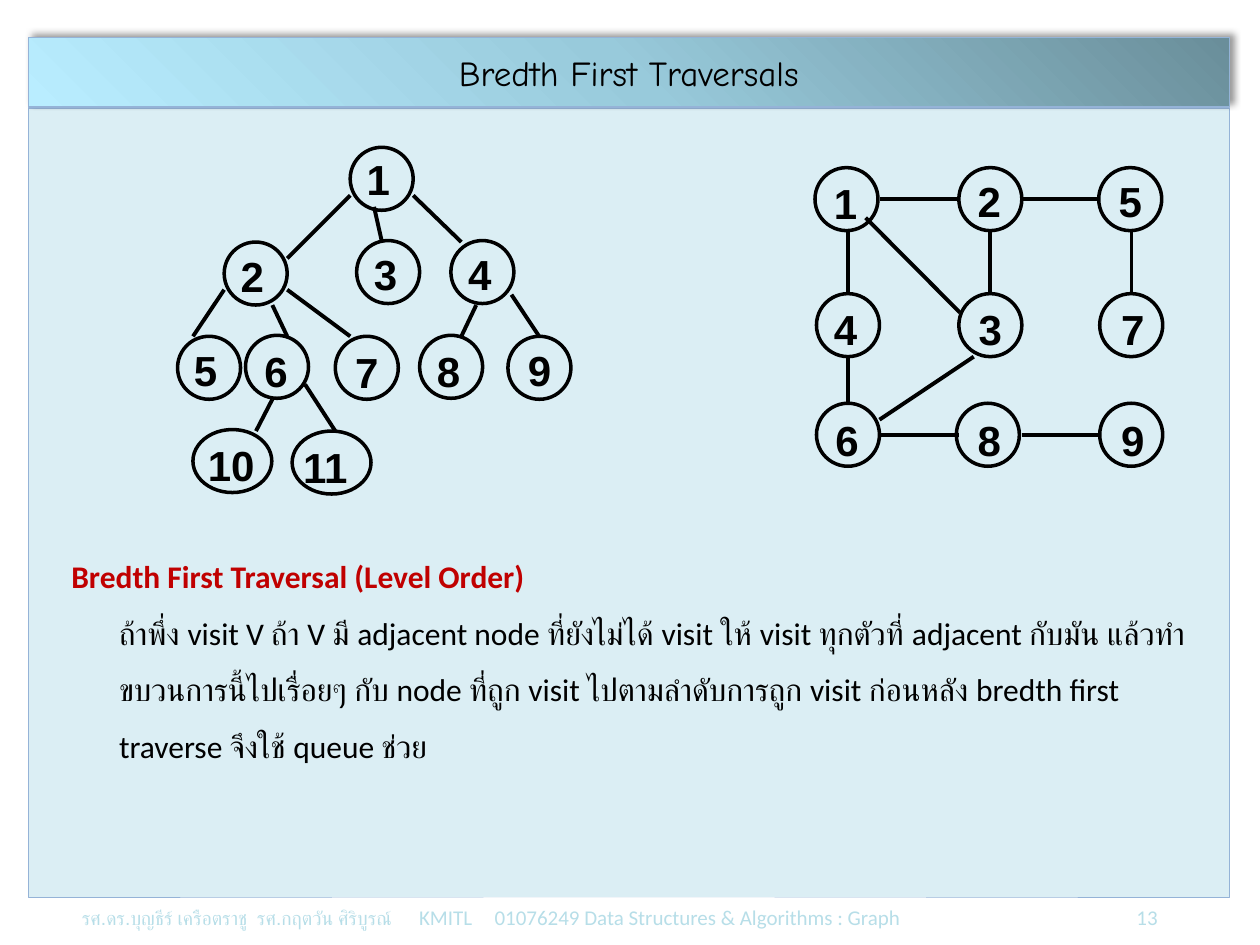
from pptx import Presentation
from pptx.dml.color import RGBColor
from pptx.enum.shapes import MSO_CONNECTOR, MSO_SHAPE
from pptx.enum.text import MSO_ANCHOR, PP_ALIGN
from pptx.oxml import parse_xml
from pptx.oxml.ns import nsdecls
from pptx.util import Cm, Pt

OVAL, RECT = MSO_SHAPE.OVAL, MSO_SHAPE.RECTANGLE
LINE = MSO_CONNECTOR.STRAIGHT
MID, CENTER = MSO_ANCHOR.MIDDLE, PP_ALIGN.CENTER
BLACK, RED, PALE, EDGE = "000000", "C00000", "B7DEE8", "95B3D7"
SIZE = 1.27  # node diameter in cm

# Nodes: label, left, top, width, label shift right, label shift down
TREE_NODES = [
    ("1", 7.06, 2.97, SIZE, 0.08, 0),
    ("2", 4.52, 4.88, SIZE, 0.08, 0.05),
    ("3", 7.19, 4.85, SIZE, 0.1, 0.03),
    ("4", 9.09, 4.85, SIZE, 0.1, 0.03),
    ("5", 3.58, 6.78, SIZE, 0.08, 0.05),
    ("6", 4.95, 6.76, SIZE, 0.13, 0.08),
    ("7", 6.76, 6.78, SIZE, 0.15, 0.08),
    ("8", 8.46, 6.76, SIZE, 0.1, 0.08),
    ("9", 10.24, 6.78, SIZE, 0.15, 0.05),
    ("10", 3.89, 8.66, 1.59, 0.05, 0.08),
    ("11", 5.89, 8.69, 1.59, -0.03, 0.08),
]
GRAPH_NODES = [
    ("1", 16.43, 3.38, SIZE, 0.13, 0.08),
    ("2", 19.33, 3.38, SIZE, 0.13, 0.03),
    ("5", 22.15, 3.38, SIZE, 0.15, 0.03),
    ("4", 16.46, 5.92, SIZE, 0.1, 0.08),
    ("3", 19.33, 5.92, SIZE, 0.15, 0.08),
    ("7", 22.17, 5.92, SIZE, 0.18, 0.08),
    ("6", 16.46, 8.13, SIZE, 0.13, 0.1),
    ("8", 19.28, 8.13, SIZE, 0.18, 0.1),
    ("9", 22.17, 8.13, SIZE, 0.18, 0.1),
]

# Edges: start x, start y, end x, end y
TREE_EDGES = [
    (7.06, 3.94, 5.79, 5.21), (7.54, 4.17, 7.7, 4.88),
    (8.33, 3.94, 9.3, 4.88), (4.52, 5.84, 3.89, 6.78),
    (5.79, 5.84, 7.06, 6.78), (5.49, 6.15, 5.79, 6.78),
    (9.6, 6.15, 9.3, 6.78), (10.31, 5.94, 10.87, 6.78),
    (5.49, 8.05, 5.16, 8.69), (6.15, 7.75, 6.76, 8.69),
]
GRAPH_EDGES = [
    (17.73, 4.01, 19.33, 4.01), (20.6, 4.01, 22.17, 4.01),
    (17.09, 4.65, 17.09, 5.92), (19.96, 4.65, 19.96, 5.92),
    (22.81, 4.65, 22.81, 5.92), (17.45, 4.39, 19.35, 6.3),
    (17.09, 7.19, 17.09, 8.13), (19.63, 7.19, 17.73, 8.46),
    (19.33, 8.76, 17.73, 8.76), (20.6, 8.76, 22.17, 8.76),
]

HEAD = "Bredth First Traversal (Level Order)"
BODY = (
    "ถ้าพึ่ง visit V ถ้า V มี adjacent node ที่ยังไม่ได้ visit ให้ visit "
    "ทุกตัวที่ adjacent กับมัน แล้วทำขบวนการนี้ไปเรื่อยๆ กับ node ที่ถูก visit "
    "ไปตามลำดับการถูก visit ก่อนหลัง bredth first traverse จึงใช้ queue ช่วย"
)
STAFF = "รศ.ดร.บุญธีร์ เครือตราชู  รศ.กฤตวัน ศิริบูรณ์"
COURSE = "\tKMITL\t01076249 Data Structures & Algorithms : Graph\t13"


def rgb(code):
    return RGBColor.from_string(code)


def apply(item, form):
    for name, value in form.items():
        setattr(item, name, value)


def add_run(para, text, size, font, color, bold=False):
    run = para.add_run()
    run.text = text
    apply(run.font, {"size": Pt(size), "name": font, "bold": bold})
    run.font.color.rgb = rgb(color)


def add_text(shapes, x, y, w, h):
    box = shapes.add_textbox(Cm(x), Cm(y), Cm(w), Cm(h))
    box.text_frame.word_wrap = True
    return box.text_frame.paragraphs[0]


def add_form(shapes, kind, x, y, w, h, line, width, fill=None):
    form = shapes.add_shape(kind, Cm(x), Cm(y), Cm(w), Cm(h))
    form.shadow.inherit = False
    if fill:
        form.fill.solid()
        form.fill.fore_color.rgb = rgb(fill)
    else:
        form.fill.background()
    form.line.color.rgb = rgb(line)
    form.line.width = Pt(width)
    return form


def add_node(shapes, label, x, y, w, dx, dy):
    add_form(shapes, OVAL, x, y, w, SIZE, BLACK, 2)
    para = add_text(shapes, x + dx, y + dy, w, SIZE)
    para.space_after = Pt(10)
    add_run(para, label, 24, "Arial", BLACK, True)


def add_edge(shapes, *ends):
    edge = shapes.add_connector(LINE, *map(Cm, ends))
    edge.line.color.rgb = rgb(BLACK)
    edge.line.width = Pt(2.25)
    edge._element.spPr.append(parse_xml(f"<a:effectLst {nsdecls('a')}/>"))


def add_net(slide, nodes, edges):
    shapes = slide.shapes.add_group_shape().shapes
    for edge in edges:
        add_edge(shapes, *edge)
    for node in nodes:
        add_node(shapes, *node)


def add_title(slide):
    bar = add_form(slide.shapes, RECT, 0.58, 0.76, 24.2, 1.4, EDGE, 0.75)
    # Gradient fill and soft shadow
    props = bar._element.spPr
    stops = [(0, "6A8E9A"), (50, "98CADB"), (100, "B9EDFF")]
    marks = "".join(f'<a:gs pos="{pos * 1000}"><a:srgbClr val="{code}"/></a:gs>'
                    for pos, code in stops)
    blend = parse_xml(f"<a:gradFill {nsdecls('a')}><a:gsLst>{marks}</a:gsLst>"
                      '<a:lin ang="8100000" scaled="0"/></a:gradFill>')
    props.replace(props.find("{*}noFill"), blend)
    glow = parse_xml(
        f"<a:outerShdw {nsdecls('a')} blurRad=\"{Pt(4)}\" dist=\"{Pt(3)}\" "
        'dir="18900000" algn="bl" rotWithShape="0"><a:srgbClr val="000000">'
        '<a:alpha val="40000"/></a:srgbClr></a:outerShdw>')
    props.find("{*}effectLst").append(glow)
    # Title text
    bar.text_frame.vertical_anchor = MID
    para = bar.text_frame.paragraphs[0]
    para.alignment = CENTER
    add_run(para, "Bredth First Traversals", 20, "Comic Neue", BLACK)


def add_body(slide):
    para = add_text(slide.shapes, 1.19, 10.72, 23.01, 6.15)
    apply(para, {"line_spacing": 1.5, "space_before": Pt(3.6)})
    props = para._p.get_or_add_pPr()
    props.set("marL", str(Cm(0.96)))
    props.set("indent", str(-Cm(0.96)))
    add_run(para, HEAD, 18, "Calibri", RED, True)
    para.add_line_break()
    add_run(para, BODY, 18, "Calibri", BLACK)


def add_foot(slide):
    para = add_text(slide.shapes, 1.4, 18.11, 22.81, 0.94)
    stops = [(6.8, "l"), (8.32, "l"), (21.69, "r")]
    marks = "".join(f'<a:tab pos="{Cm(pos)}" algn="{side}"/>'
                    for pos, side in stops)
    tabs = parse_xml(f"<a:tabLst {nsdecls('a')}>{marks}</a:tabLst>")
    para._p.get_or_add_pPr().append(tabs)
    add_run(para, STAFF, 11, "Arial", PALE)
    add_run(para, COURSE, 12, "Calibri", PALE)


def main():
    deck = Presentation()
    apply(deck, {"slide_width": Cm(25.4), "slide_height": Cm(19.05)})
    slide = deck.slides.add_slide(deck.slide_layouts[6])
    # Frame: panel, footer, title
    add_form(slide.shapes, RECT, 0.58, 2.18, 24.2, 15.9, EDGE, 0.25, "DBEEF4")
    add_foot(slide)
    add_title(slide)
    # Content: text, tree, graph
    add_body(slide)
    add_net(slide, TREE_NODES, TREE_EDGES)
    add_net(slide, GRAPH_NODES, GRAPH_EDGES)
    deck.save("out.pptx")


if __name__ == "__main__":
    main()
